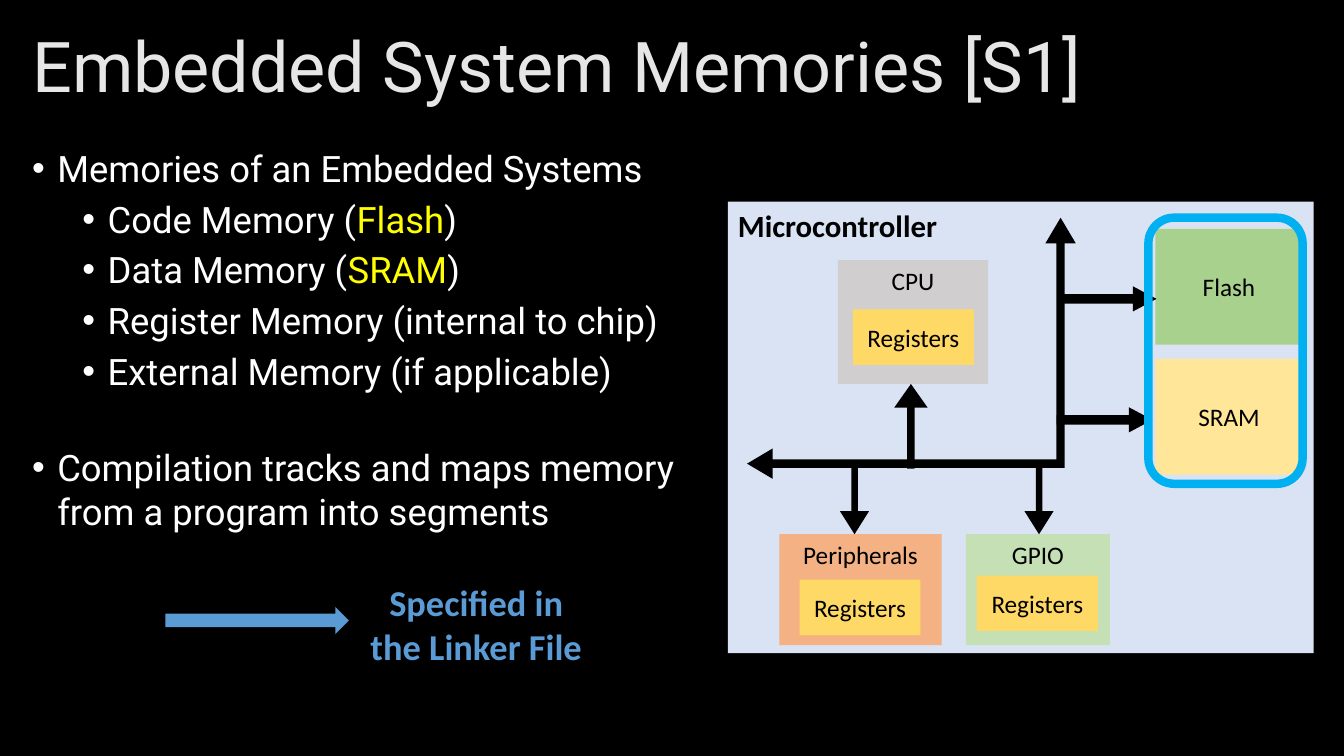
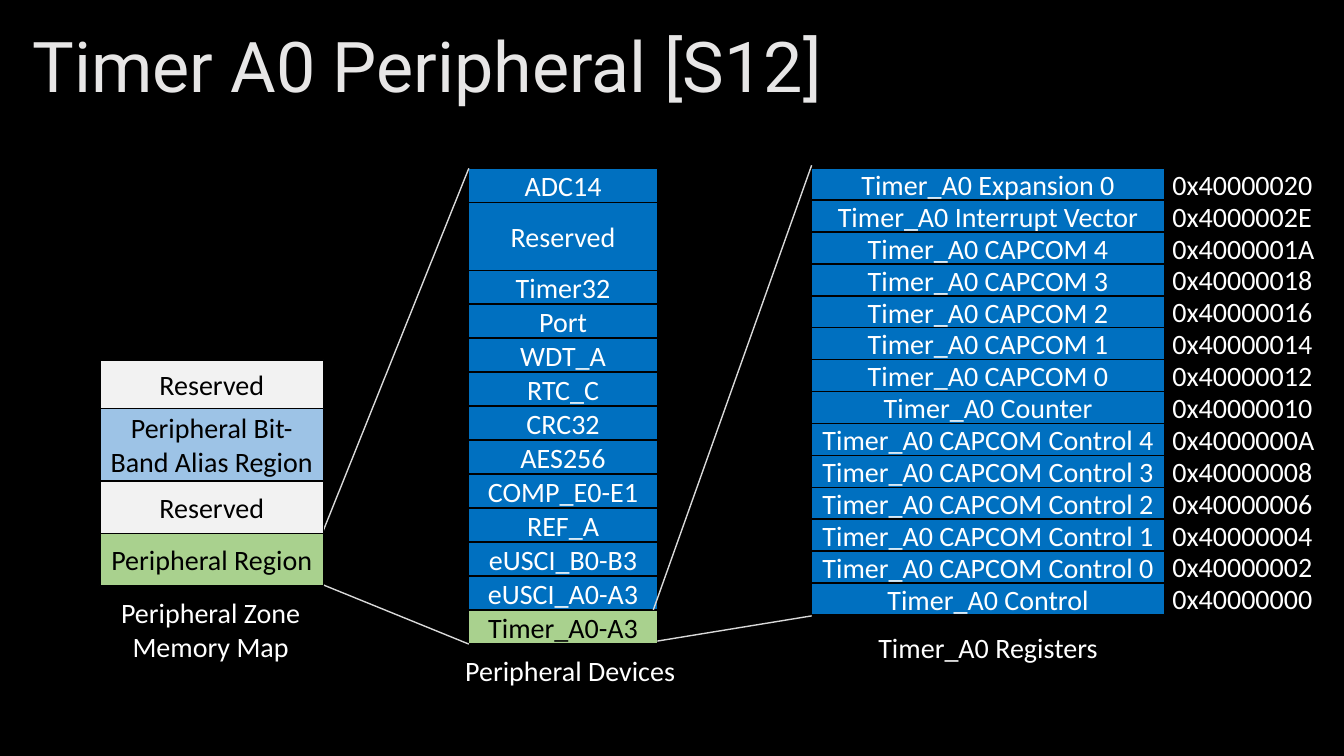
from lxml import etree
from pptx import Presentation
from pptx.dml.color import RGBColor
from pptx.enum.shapes import MSO_CONNECTOR, MSO_SHAPE
from pptx.enum.text import MSO_ANCHOR, MSO_AUTO_SIZE, PP_ALIGN
from pptx.oxml.ns import qn
from pptx.util import Inches, Pt

RECT, ROUND = MSO_SHAPE.RECTANGLE, MSO_SHAPE.ROUNDED_RECTANGLE
UP, RIGHT = MSO_SHAPE.UP_ARROW, MSO_SHAPE.RIGHT_ARROW
BUS = MSO_SHAPE.LEFT_UP_ARROW
STRAIGHT = MSO_CONNECTOR.STRAIGHT
TOP, MIDDLE = MSO_ANCHOR.TOP, MSO_ANCHOR.MIDDLE
LEFT, CENTER = PP_ALIGN.LEFT, PP_ALIGN.CENTER
NO_FIT = MSO_AUTO_SIZE.NONE

BLACK = RGBColor(0x00, 0x00, 0x00)
WHITE = RGBColor(0xFF, 0xFF, 0xFF)
YELLOW = RGBColor(0xFF, 0xFF, 0x00)
SILVER = RGBColor(0xE7, 0xE6, 0xE6)
PALE = RGBColor(0xDA, 0xE3, 0xF3)
GRAY = RGBColor(0xD0, 0xCE, 0xCE)
ROSE = RGBColor(0xF4, 0xB1, 0x83)
MINT = RGBColor(0xC5, 0xE0, 0xB4)
GREEN = RGBColor(0xA9, 0xD1, 0x8E)
CREAM = RGBColor(0xFF, 0xE6, 0x99)
GOLD = RGBColor(0xFF, 0xD9, 0x66)
CYAN = RGBColor(0x00, 0xB0, 0xF0)
STEEL = RGBColor(0x5B, 0x9B, 0xD5)
BLUE = RGBColor(0x00, 0x70, 0xC0)
SKY = RGBColor(0x9D, 0xC3, 0xE6)
SNOW = RGBColor(0xF2, 0xF2, 0xF2)
MIST = RGBColor(0xD9, 0xD9, 0xD9)

HEAD = {"name": "Roboto", "size": Pt(50), "bold": False}
BODY = {"name": "Roboto", "size": Pt(26)}
PANEL = {"name": "Calibri", "size": Pt(22), "bold": True}
PART = {"name": "Calibri", "size": Pt(18)}
CELL = {"name": "Calibri", "size": Pt(20)}
NOTE = {"name": "Calibri", "size": Pt(26), "bold": True}

# Level: left margin in inches, space before in points
LEVELS = [(0.25, 10), (0.75, 5)]
BULLETS = [
    (0, ["Memories of an Embedded Systems"]),
    (1, ["Code Memory (", "Flash", ")"]),
    (1, ["Data Memory (", "SRAM", ")"]),
    (1, ["Register Memory (internal to chip)"]),
    (1, ["External Memory (if applicable)"]),
    (0, ["Compilation tracks and maps memory from a program into segments"]),
]
SECTION_GAP = 38

# Stack rows: text, height in inches, fill, text colour
ZONES = [
    ("Reserved", 0.48, SNOW, BLACK),
    ("Peripheral Bit-Band Alias Region", 0.72, SKY, BLACK),
    ("Reserved", 0.52, SNOW, BLACK),
    ("Peripheral Region", 0.52, GREEN, BLACK),
]
DEVICES = ["ADC14", "Reserved", "Timer32", "Port", "WDT_A", "RTC_C", "CRC32",
           "AES256", "COMP_E0-E1", "REF_A", "eUSCI_B0-B3", "eUSCI_A0-A3",
           "Timer_A0-A3"]
REGISTERS = [
    ("Expansion 0", "20"), ("Interrupt Vector", "2E"),
    ("CAPCOM 4", "1A"), ("CAPCOM 3", "18"), ("CAPCOM 2", "16"),
    ("CAPCOM 1", "14"), ("CAPCOM 0", "12"), ("Counter", "10"),
    ("CAPCOM Control 4", "0A"), ("CAPCOM Control 3", "08"),
    ("CAPCOM Control 2", "06"), ("CAPCOM Control 1", "04"),
    ("CAPCOM Control 0", "02"), ("Control", "00"),
]
STACK_TOP = 1.67
DEVICE_ROW = 4.72 / (len(DEVICES) + 1)
REGISTER_ROW = 4.43 / len(REGISTERS)


def style(font, form, color):
    for key, value in form.items():
        setattr(font, key, value)
    font.color.rgb = color


def write(frame, text, form, color, align=CENTER, anchor=TOP, wrap=True):
    frame.word_wrap = wrap
    frame.vertical_anchor = anchor
    frame.auto_size = NO_FIT
    frame.text = text
    for para in frame.paragraphs:
        para.alignment = align
        for run in para.runs:
            style(run.font, form, color)


def add_title(prs, text):
    """Add a title-only slide and return it."""
    slide = prs.slides.add_slide(prs.slide_layouts[5])
    title = slide.shapes.title
    title.left, title.top = Inches(0.22), Inches(0.21)
    title.width, title.height = Inches(12.89), Inches(0.97)
    write(title.text_frame, text, HEAD, SILVER, LEFT, MIDDLE)
    title.text_frame.paragraphs[0].line_spacing = 0.9
    return slide


def add_form(shapes, kind, box, fill=None, line=None, width=1, turn=0, adjust=()):
    """Add a preset shape; box is left, top, width, height in inches."""
    shape = shapes.add_shape(kind, *map(Inches, box))
    shape.shadow.inherit = False
    shape.rotation = turn
    for index, value in enumerate(adjust):
        shape.adjustments[index] = value
    if fill is None:
        shape.fill.background()
    else:
        shape.fill.solid()
        shape.fill.fore_color.rgb = fill
    if line is None:
        shape.line.fill.background()
    else:
        shape.line.color.rgb = line
        shape.line.width = Pt(width)
    return shape


def add_block(shapes, text, box, fill, anchor=TOP):
    shape = add_form(shapes, RECT, box, fill)
    write(shape.text_frame, text, PART, BLACK, anchor=anchor)
    return shape


def add_label(slide, text, box, form=CELL, color=WHITE, align=CENTER, wrap=False):
    label = slide.shapes.add_textbox(*map(Inches, box))
    write(label.text_frame, text, form, color, align, wrap=wrap)


def add_stack(slide, left, top, width, rows):
    """Pile outlined rows downwards in one group."""
    shapes = slide.shapes.add_group_shape().shapes
    for text, height, fill, color in rows:
        cell = add_form(shapes, RECT, (left, top, width, height), fill, BLACK)
        write(cell.text_frame, text, CELL, color, anchor=MIDDLE)
        top += height


def add_line(slide, start, end):
    line = slide.shapes.add_connector(STRAIGHT, *map(Inches, start + end))
    line.line.color.rgb = MIST
    line.line.width = Pt(1)
    etree.SubElement(line._element.spPr, qn("a:effectLst"))


def add_bullets(slide):
    box = slide.shapes.add_textbox(*map(Inches, (0.22, 1.4, 6.77, 5.28)))
    frame = box.text_frame
    frame.word_wrap = True
    last = 0
    for index, (level, parts) in enumerate(BULLETS):
        para = frame.paragraphs[0] if index == 0 else frame.add_paragraph()
        margin, gap = LEVELS[level]
        props = para._p.get_or_add_pPr()
        props.set("marL", str(Inches(margin)))
        props.set("indent", str(Inches(-0.25)))
        etree.SubElement(props, qn("a:buFont")).set("typeface", "Arial")
        etree.SubElement(props, qn("a:buChar")).set("char", "•")
        para.level = level
        if index:
            para.space_before = Pt(SECTION_GAP if level < last else gap)
        for place, text in enumerate(parts):
            run = para.add_run()
            run.text = text
            style(run.font, BODY, YELLOW if place == 1 else WHITE)
        last = level


def add_chip(slide):
    """Draw the microcontroller with its buses and memories."""
    shapes = slide.shapes
    panel = add_form(shapes, RECT, (7.22, 2, 5.81, 4.48), PALE)
    write(panel.text_frame, "Microcontroller", PANEL, BLACK, LEFT)
    for text, box, fill in [
        ("GPIO", (9.58, 5.3, 1.43, 1.1), MINT),
        ("CPU", (8.31, 2.58, 1.49, 1.23), GRAY),
        ("Peripherals", (7.73, 5.3, 1.61, 1.1), ROSE),
    ]:
        add_block(shapes, text, box, fill)
    for text, top, fill in [("Flash", 2.27, GREEN), ("SRAM", 3.56, CREAM)]:
        add_block(shapes, text, (11.46, top, 1.46, 1.15), fill, MIDDLE)
    for kind, box, turn, adjust in [
        (BUS, (7.41, 2.16, 3.26, 2.59), 0, (0.032, 0.058, 0.098)),
        (UP, (8.87, 3.81, 0.33, 0.84), 0, (0.222, 0.708)),
        (UP, (10.16, 4.63, 0.29, 0.67), 180, (0.222, 0.795)),
        (UP, (8.33, 4.63, 0.29, 0.67), 180, (0.222, 0.795)),
        (UP, (10.87, 2.49, 0.25, 0.95), 90, (0.382, 0.936)),
        (UP, (10.83, 3.69, 0.25, 0.95), 90, (0.382, 0.936)),
    ]:
        add_form(shapes, kind, box, BLACK, turn=turn, adjust=adjust)
    for left, top in [(9.69, 5.71), (8.46, 3.07), (7.93, 5.75)]:
        add_block(shapes, "Registers", (left, top, 1.2, 0.55), GOLD, MIDDLE)
    add_form(shapes, ROUND, (11.39, 2.16, 1.53, 2.64), line=CYAN, width=6)


def add_memories(prs):
    slide = add_title(prs, "Embedded System Memories [S1]")
    add_bullets(slide)
    add_chip(slide)
    add_form(slide.shapes, RIGHT, (1.64, 6.02, 1.82, 0.27), STEEL)
    add_label(slide, "Specified in the Linker File", (3.54, 5.71, 2.37, 0.98),
              NOTE, STEEL, wrap=True)


def add_timer(prs):
    slide = add_title(prs, "Timer A0 Peripheral [S12]")
    devices = [(name, DEVICE_ROW * (2 if name == "Reserved" else 1), BLUE, WHITE)
               for name in DEVICES[:-1]]
    devices.append((DEVICES[-1], DEVICE_ROW, GREEN, BLACK))
    registers = [("Timer_A0 " + name, REGISTER_ROW, BLUE, WHITE)
                 for name, _ in REGISTERS]
    add_stack(slide, 4.65, STACK_TOP, 1.87, devices)
    add_stack(slide, 8.05, STACK_TOP, 3.5, registers)
    for row, (_, offset) in enumerate(REGISTERS):
        top = STACK_TOP - 0.06 + row * REGISTER_ROW
        add_label(slide, "0x400000" + offset, (11.53, top, 1.6, 0.44), align=LEFT)
    for start, end in [
        ((3.2, 5.28), (4.65, 1.67)),
        ((3.2, 5.8), (4.65, 6.39)),
        ((6.48, 6.05), (8.05, 1.64)),
        ((6.52, 6.36), (8.05, 6.11)),
    ]:
        add_line(slide, start, end)
    add_stack(slide, 0.99, 3.57, 2.22, ZONES)
    for text, box in [
        ("Timer_A0 Registers", (8.6, 6.21, 2.4, 0.44)),
        ("Peripheral Devices", (4.5, 6.43, 2.31, 0.44)),
        ("Peripheral Zone\nMemory Map", (1.06, 5.86, 2.06, 0.77)),
    ]:
        add_label(slide, text, box)


def main():
    prs = Presentation()
    prs.slide_width, prs.slide_height = Inches(13.33), Inches(7.5)
    back = prs.slide_master.background.fill
    back.solid()
    back.fore_color.rgb = BLACK
    add_memories(prs)
    add_timer(prs)
    prs.save("out.pptx")


if __name__ == "__main__":
    main()
